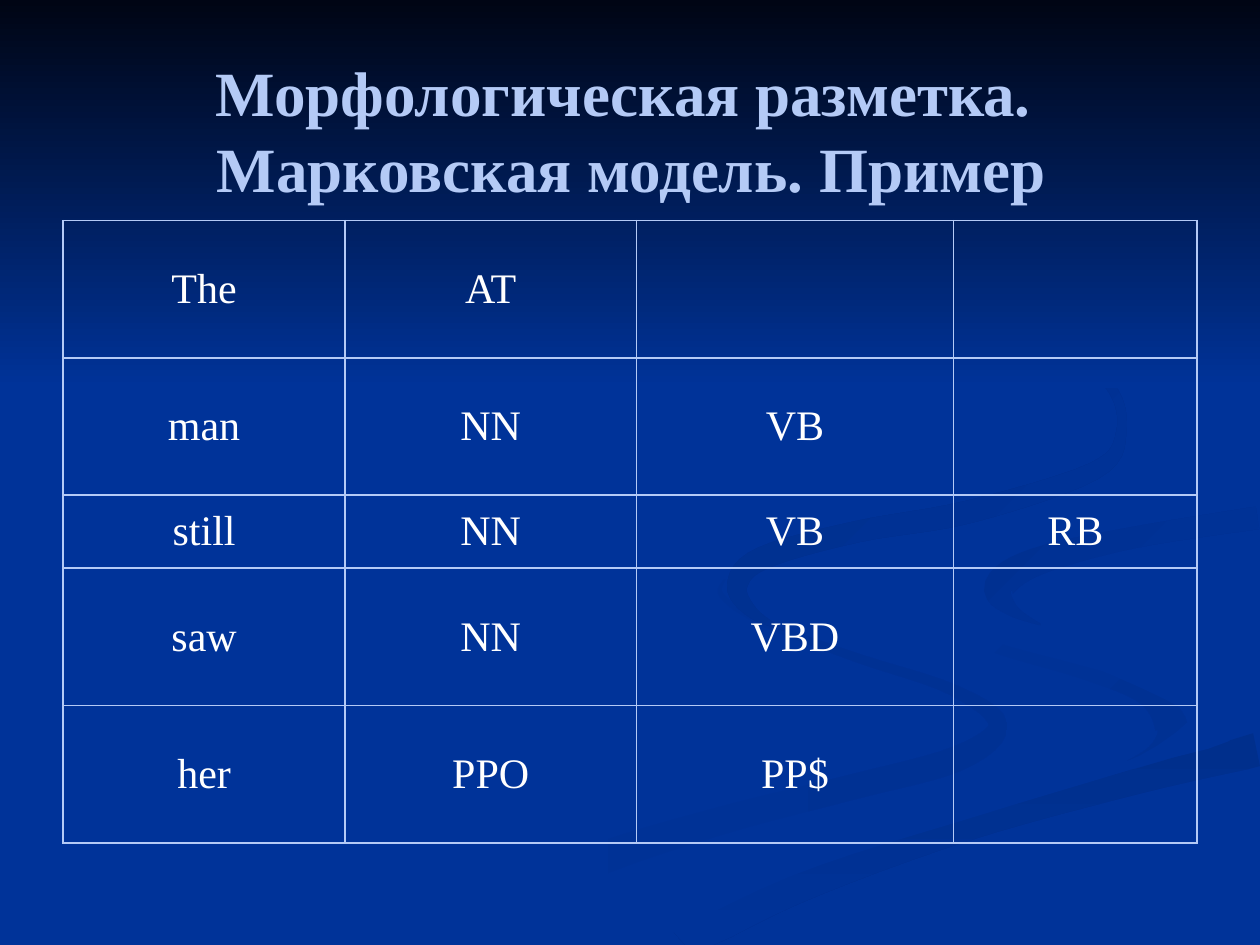
from math import hypot

from lxml import etree
from pptx import Presentation, util as u
from pptx.dml.color import RGBColor
from pptx.enum import text
from pptx.oxml.ns import qn

PX = 9144
WIDTH, HEIGHT = 1000, 750
STEPS = 6
FONT = "Times New Roman"
BLUE = RGBColor(0x00, 0x33, 0x99)
SHADE = RGBColor(0x00, 0x31, 0x93)
DUSK = RGBColor(0x00, 0x30, 0x91)
DEEP = RGBColor(0x00, 0x2F, 0x8C)
NIGHT = RGBColor(0x00, 0x05, 0x14)
PALE = RGBColor(0xB4, 0xCA, 0xF6)
WHITE = RGBColor(0xFF, 0xFF, 0xFF)

# Each knot is the x, y of a ribbon's centre line and its thickness there.
LEFT_CURL = [(575, 460, 1), (573, 473, 4), (605, 494, 5), (680, 522, 7), (755, 547, 9),
             (792, 575, 15), (760, 602, 20), (675, 625, 20), (570, 652, 22),
             (460, 688, 26), (330, 749, 28)]
RIGHT_CURL = [(724, 464, 1), (739, 490, 4), (787, 513, 8), (860, 534, 10),
              (910, 552, 16), (930, 578, 26), (918, 595, 12), (894, 605, 1)]
LOWER_BAND = [(537, 749, 32), (630, 706, 24), (765, 658, 20), (903, 620, 20), (998, 595, 27)]
WIDE_BAND = [(490, 749, 26), (625, 690, 12), (780, 639, 14), (905, 604, 8),
             (971, 560, 45), (871, 517, 26), (757, 468, 55), (800, 430, 24),
             (899, 411, 15), (999, 395, 15)]
EDGE_CURL = [(998, 411, 18), (898, 427, 17), (822, 446, 22), (793, 466, 24),
             (803, 484, 10), (826, 496, 1)]
UPPER_CURL = [(762, 233, 1), (830, 267, 4), (880, 305, 7), (890, 343, 8), (868, 374, 14),
              (770, 406, 18), (680, 422, 17), (605, 443, 18), (585, 465, 16),
              (597, 486, 9), (622, 500, 1)]
RIBBONS = [
    (LEFT_CURL, BLUE, SHADE, 0),
    (RIGHT_CURL, BLUE, SHADE, 45),
    (LOWER_BAND, DEEP, BLUE, 90),
    (WIDE_BAND, BLUE, BLUE, 0),
    (EDGE_CURL, DUSK, BLUE, 45),
    (UPPER_CURL, DEEP, BLUE, 45),
]
TITLE = ["Морфологическая разметка. ", "Марковская модель. Пример"]
COLS = [224, 231, 252, 193]
ROWS = [
    (109, ["The", "AT"]),
    (109, ["man", "NN", "VB"]),
    (58, ["still", "NN", "VB", "RB"]),
    (109, ["saw", "NN", "VBD"]),
    (109, ["her", "PPO", "PP$"]),
]


def write(tf, *lines, size, color, bold=False):
    tf.vertical_anchor = text.MSO_ANCHOR.MIDDLE
    tf.word_wrap = True
    p = tf.paragraphs[0]
    p.alignment = text.PP_ALIGN.CENTER
    for i, line in enumerate(lines):
        if i:
            p.add_line_break()
        r = p.add_run()
        r.text = line
        r.font.name, r.font.size, r.font.bold = FONT, u.Pt(size), bold
        r.font.color.rgb = color


def smooth_curve(knots):
    padded = [knots[0], *knots, knots[-1]]
    curve = []
    for a, b, c, d in zip(padded, padded[1:], padded[2:], padded[3:]):
        for t in (step / STEPS for step in range(STEPS)):
            curve.append([q + t * (r - p + t * (2 * p - 5 * q + 4 * r - s
                          + t * (3 * (q - r) + s - p))) / 2
                          for p, q, r, s in zip(a, b, c, d)])
    return curve + [knots[-1]]


def ribbon_outline(knots):
    curve = smooth_curve(knots)
    one_side, other_side = [], []
    for before, (x, y, thick), after in zip(curve[:1] + curve, curve, curve[1:] + curve[-1:]):
        dx, dy = after[0] - before[0], after[1] - before[1]
        half = thick / 2 / hypot(dx, dy)
        one_side.append((x - dy * half, y + dx * half))
        other_side.append((x + dy * half, y - dx * half))
    return [(min(x, WIDTH), min(y, HEIGHT)) for x, y in one_side + other_side[::-1]]


def gradient_shape(s, x, y, points, start, end, angle):
    first, *rest = [(px * PX, py * PX) for px, py in points]
    fb = s.shapes.build_freeform(*first)
    fb.add_line_segments(rest, close=True)
    sp = fb.convert_to_shape(x * PX, y * PX)
    sp.shadow.inherit = False
    sp.line.fill.background()
    sp.fill.gradient()
    sp.fill.gradient_angle = -angle % 360
    for stop, color in zip(sp.fill.gradient_stops, (start, end)):
        stop.color.rgb = color


def backdrop(s, x, y, w, sky_h):
    s.background.fill.solid()
    s.background.fill.fore_color.rgb = BLUE
    for knots, start, end, angle in RIBBONS:
        gradient_shape(s, x, y, ribbon_outline(knots), start, end, angle)
    sky = [(0, 0), (0, sky_h), (w, sky_h), (w, 0)]
    gradient_shape(s, x, y, sky, NIGHT, BLUE, 90)


def border(cell, color, width):
    tcPr = cell._tc.get_or_add_tcPr()
    for i, side in enumerate(("a:lnL", "a:lnR", "a:lnT", "a:lnB")):
        ln = etree.Element(qn(side), w=str(u.Pt(width)))
        fill = etree.SubElement(ln, qn("a:solidFill"))
        etree.SubElement(fill, qn("a:srgbClr"), val=str(color))
        tcPr.insert(i, ln)


def tag_table(s, x, y, w, h):
    box = [v * PX for v in (x, y, w, h)]
    table = s.shapes.add_table(len(ROWS), len(COLS), *box).table
    table.first_row = table.horz_banding = False
    for col, width in zip(table.columns, COLS):
        col.width = width * PX
    for row, (height, words) in zip(table.rows, ROWS):
        row.height = height * PX
        for cell in row.cells:
            cell.fill.background()
            border(cell, PALE, 1)
        for cell, word in zip(row.cells, words):
            cell.vertical_anchor = text.MSO_ANCHOR.MIDDLE
            write(cell.text_frame, word, size=24, color=WHITE)


def title(s, x, y, w, h):
    sp = s.shapes.add_textbox(*[v * PX for v in (x, y, w, h)])
    write(sp.text_frame, *TITLE, size=36, color=PALE, bold=True)


def main():
    prs = Presentation()
    prs.slide_width, prs.slide_height = WIDTH * PX, HEIGHT * PX
    s = prs.slides.add_slide(prs.slide_layouts[6])
    backdrop(s, 0, 0, WIDTH, 308)
    tag_table(s, 50, 175, sum(COLS), sum(h for h, _ in ROWS))
    title(s, 51, 28, 900, 149)
    prs.save("out.pptx")


if __name__ == "__main__":
    main()
